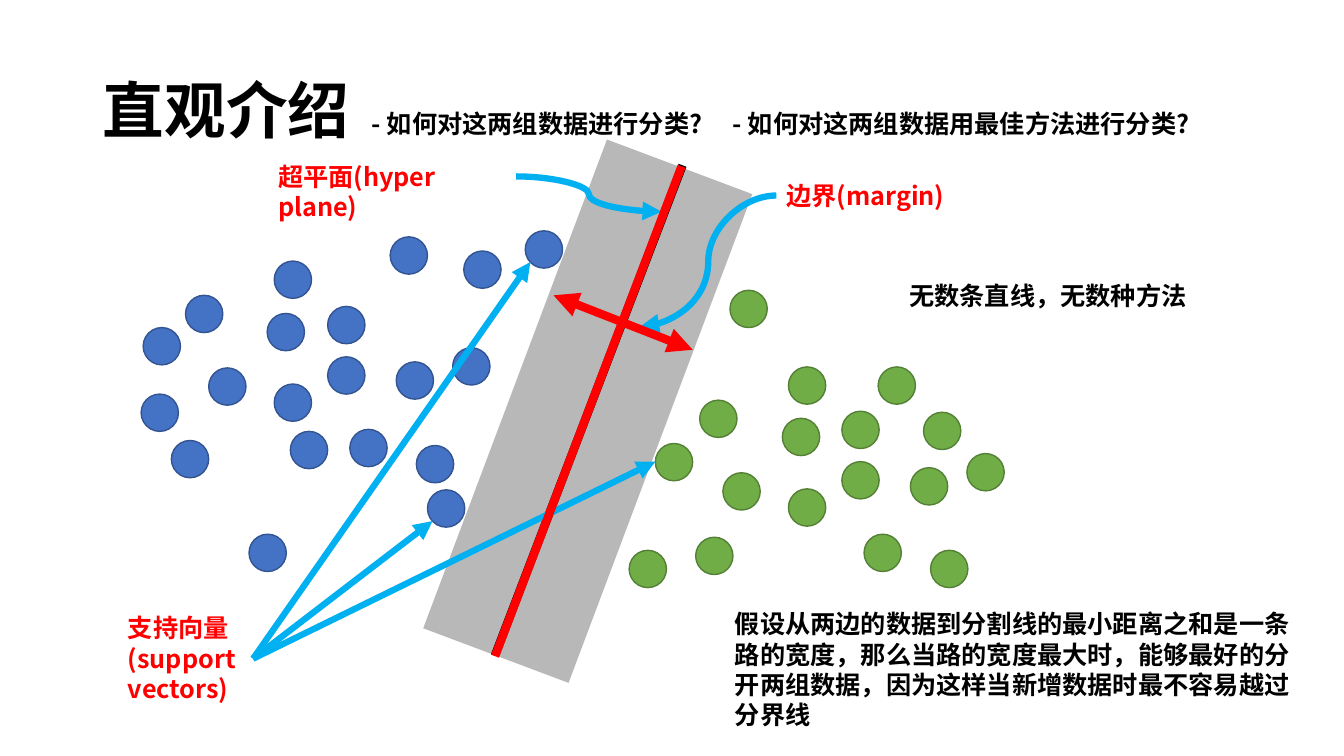
"""Build the slide that introduces support vectors by intuition."""
import pptx
import pptx.util
import pptx.dml.color
import pptx.enum.shapes
import pptx.enum.text
import pptx.oxml
import pptx.oxml.ns

RGB = pptx.dml.color.RGBColor
SHAPE = pptx.enum.shapes.MSO_SHAPE
LINK = pptx.enum.shapes.MSO_CONNECTOR
TEXT = pptx.enum.text
qn = pptx.oxml.ns.qn

PX = 9144
FONT = "Noto Sans CJK SC"
BLACK = RGB(0x00, 0x00, 0x00)
RED = RGB(0xFF, 0x00, 0x00)
SKY = RGB(0x00, 0xB0, 0xF0)
GRAY = RGB(0xA7, 0xA7, 0xA7)
BLUE = RGB(0x44, 0x72, 0xC4)
NAVY = RGB(0x32, 0x54, 0x91)
GREEN = RGB(0x70, 0xAD, 0x47)
MOSS = RGB(0x53, 0x80, 0x35)

DOT = 37
LEFT = [
    (272, 259), (325, 304), (387, 235), (460, 249), (184, 293), (207, 365),
    (265, 311), (272, 381), (142, 325), (170, 437), (140, 391), (449, 345),
    (393, 359), (325, 354), (413, 442), (288, 428), (347, 426), (424, 486),
    (247, 530), (521, 229),
]
RIGHT = [
    (782, 364), (835, 408), (871, 364), (916, 409), (694, 397), (717, 469),
    (776, 415), (782, 485), (724, 288), (624, 546), (650, 440), (959, 450),
    (903, 464), (835, 458), (690, 533), (857, 530), (923, 546),
]


def scale(*nums):
    return [pptx.util.Emu(num * PX) for num in nums]


def add_tag(node, name, **attrs):
    tag = pptx.oxml.parse_xml(f"<{name} {pptx.oxml.ns.nsdecls('a')}/>")
    for key, value in attrs.items():
        tag.set(key, value)
    node.append(tag)


def style(par, size, face, color):
    font = par.font
    font.size = pptx.util.Pt(size)
    font.bold = True
    font.color.rgb = color
    font.name = face
    add_tag(par._p.pPr.find(qn("a:defRPr")), "a:ea", typeface=FONT)


def add_title(slide, text):
    title = slide.shapes.title
    title.left, title.top, title.width, title.height = scale(92, 40, 1150, 145)
    title.text_frame.text = text
    title.text_frame.vertical_anchor = TEXT.MSO_ANCHOR.MIDDLE
    par = title.text_frame.paragraphs[0]
    par.alignment = TEXT.PP_ALIGN.LEFT
    par.line_spacing = 0.9
    style(par, 44, "Arial", BLACK)


def add_label(slide, box, text, color=BLACK, wrap=True):
    label = slide.shapes.add_textbox(*scale(*box))
    frame = label.text_frame
    frame.word_wrap = wrap
    frame.text = text
    for par in frame.paragraphs:
        style(par, 18, FONT, color)
    return label


def add_dots(slide, spots, fill, edge):
    for left, top in spots:
        dot = slide.shapes.add_shape(SHAPE.OVAL, *scale(left, top, DOT, DOT))
        dot.shadow.inherit = False
        dot.fill.solid()
        dot.fill.fore_color.rgb = fill
        dot.line.color.rgb = edge
        dot.line.width = pptx.util.Pt(1)


def add_band(slide, box, angle):
    band = slide.shapes.add_shape(SHAPE.RECTANGLE, *scale(*box))
    band.rotation = angle
    band.shadow.inherit = False
    band.fill.solid()
    band.fill.fore_color.rgb = GRAY
    band.line.fill.background()
    color = band._element.spPr.find(qn("a:solidFill"))[0]
    add_tag(color, "a:alpha", val="80000")


def add_line(slide, ends, color, width, tips=(), kind=LINK.STRAIGHT):
    line = slide.shapes.add_connector(kind, *scale(*ends))
    line.line.color.rgb = color
    line.line.width = pptx.util.Pt(width)
    for tip in tips:
        add_tag(line.line._get_or_add_ln(), f"a:{tip}", type="triangle")
    add_tag(line._element.spPr, "a:effectLst")
    return line


def add_arrow(slide, label, side, ends, kind=LINK.STRAIGHT):
    arrow = add_line(slide, ends, SKY, 4.5, ["tailEnd"], kind)
    arrow.begin_connect(label, side)


def main():
    deck = pptx.Presentation()
    deck.slide_width, deck.slide_height = scale(1333, 750)
    slide = deck.slides.add_slide(deck.slide_layouts[5])
    add_title(slide, "直观介绍")
    add_dots(slide, LEFT, BLUE, NAVY)
    add_dots(slide, RIGHT, GREEN, MOSS)

    add_label(slide, (892, 273, 468 - 30, 40), "无数条直线，无数种方法")
    add_label(slide, (359, 103, 354, 40), "- 如何对这两组数据进行分类?", wrap=False)
    add_label(slide, (717, 103, 480, 40), "- 如何对这两组数据用最佳方法进行分类?", wrap=False)
    add_label(slide, (719, 599, 585, 131),
              "假设从两边的数据到分割线的最小距离之和是一条\n"
              "路的宽度，那么当路的宽度最大时，能够最好的分开两组数据，"
              "因为这样当新增数据时最不容易越过分界线")

    add_band(slide, (506, 149, 154, 518), 20.6)
    add_line(slide, (677, 164, 491, 650), BLACK, 6)
    margin = add_label(slide, (770, 174, 244, 40), "边界(margin)", RED)
    add_arrow(slide, margin, 1, (770, 194, 635, 324), LINK.CURVE)
    support = add_label(slide, (117, 603, 134, 101), "支持向量(support vectors)", RED)
    for tip in [(526, 260), (429, 517), (650, 458)]:
        add_arrow(slide, support, 3, (251, 654, *tip))
    add_line(slide, (549, 293, 687, 347), RED, 6, ["headEnd", "tailEnd"])
    plane = add_label(slide, (266, 155, 246, 40), "超平面(hyper plane)", RED)
    add_arrow(slide, plane, 3, (512, 175, 656, 210), LINK.CURVE)
    add_line(slide, (676, 165, 491, 651), RED, 6)
    deck.save("out.pptx")


if __name__ == "__main__":
    main()
